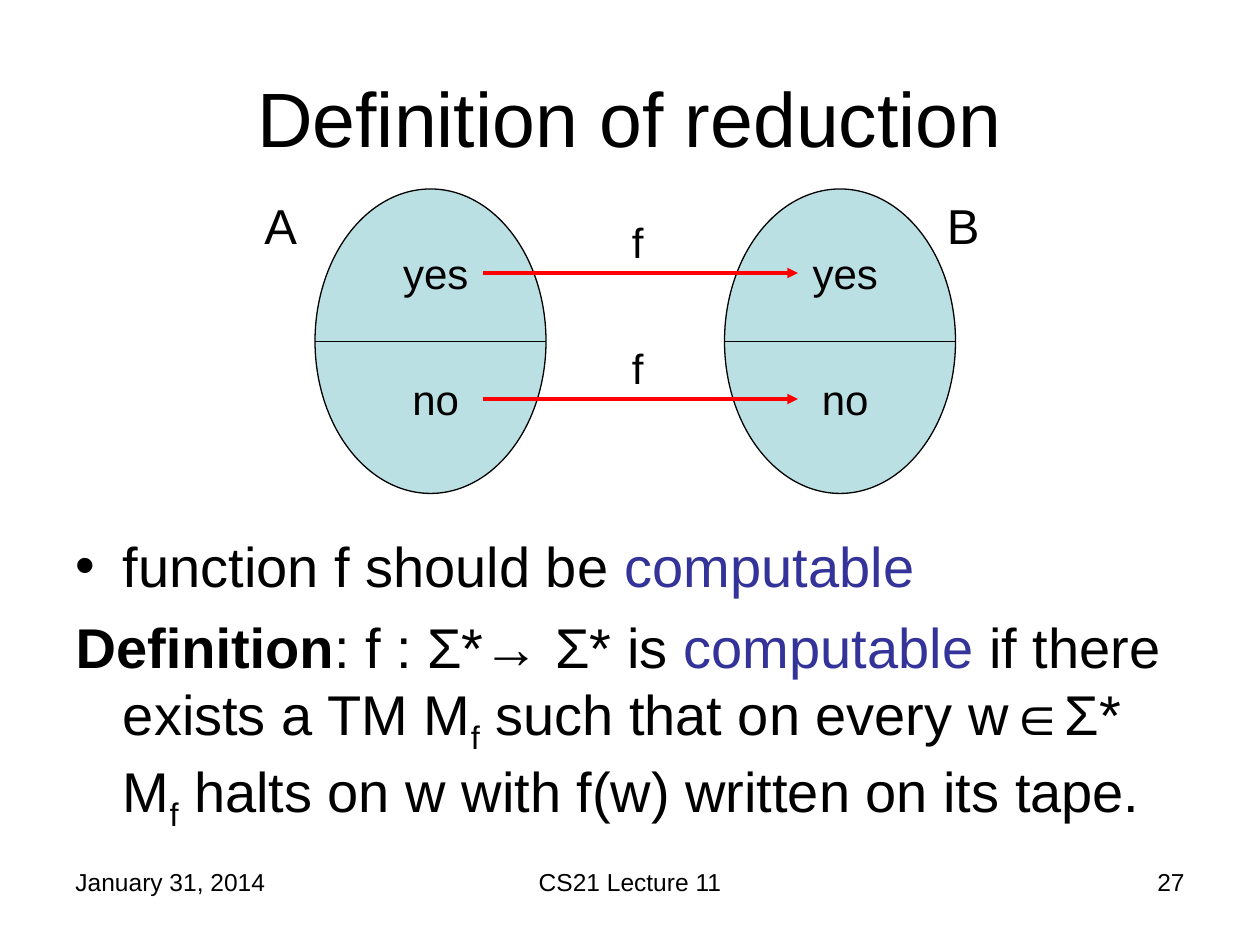
from lxml.etree import SubElement
from pptx import Presentation
from pptx.dml.color import RGBColor
from pptx.enum.shapes import MSO_CONNECTOR, MSO_SHAPE
from pptx.enum.text import MSO_ANCHOR, MSO_AUTO_SIZE, PP_ALIGN
from pptx.oxml.ns import qn
from pptx.util import Emu, Pt

BLACK, RED, BLUE, TEAL = "000000", "FF0000", "333399", "BBE0E3"


def px(length):
    """Turn pixels, 120 to the inch, into EMU."""
    return Emu(length * 7620)


def color(code):
    """Turn a hex string into a colour."""
    return RGBColor.from_string(code)


def style(paragraph, size, align=PP_ALIGN.LEFT):
    """Set the font and alignment of a whole paragraph."""
    paragraph.alignment = align
    paragraph.font.name = "Arial"
    paragraph.font.size = Pt(size)
    paragraph.font.color.rgb = color(BLACK)


def place(placeholder, box):
    """Move a placeholder into a box and keep its text size fixed."""
    placeholder.left, placeholder.top, placeholder.width, placeholder.height = map(px, box)
    placeholder.text_frame.auto_size = MSO_AUTO_SIZE.NONE


def add_label(slide, box, text, size, align=PP_ALIGN.LEFT):
    """Add one line of text in a box."""
    frame = slide.shapes.add_textbox(*map(px, box)).text_frame
    frame.word_wrap = True
    frame.text = text
    style(frame.paragraphs[0], size, align)


def add_line(slide, left, right, y, code, width, arrow=False):
    """Add a level line, with an arrowhead on its right end if asked."""
    line = slide.shapes.add_connector(MSO_CONNECTOR.STRAIGHT, px(left), px(y), px(right), px(y))
    line.line.color.rgb = color(code)
    line.line.width = Pt(width)
    if arrow:
        SubElement(line.line._get_or_add_ln(), qn("a:tailEnd"), type="triangle")
    SubElement(line._element.spPr, qn("a:effectLst"))


def add_language(slide, box):
    """Add an ellipse split into a yes half and a no half."""
    left, top, width, height = box
    ellipse = slide.shapes.add_shape(MSO_SHAPE.OVAL, *map(px, box))
    ellipse.shadow.inherit = False
    ellipse.fill.solid()
    ellipse.fill.fore_color.rgb = color(TEAL)
    ellipse.line.color.rgb = color(BLACK)
    ellipse.line.width = Pt(0.75)
    add_line(slide, left, left + width, top + height // 2, BLACK, 0.75)
    for row, answer in enumerate(("yes", "no")):
        add_label(slide, (left + 70, top + 50 + row * 120, 90, 60), answer, 24, PP_ALIGN.CENTER)


def add_reduction(slide, box):
    """Add languages A and B and the arrows of f between them."""
    left, top, width, height = box
    for offset in (60, 450):
        add_language(slide, (left + offset, top, 220, height))
    for row in range(2):
        y = top + 80 + row * 120
        add_line(slide, left + 220, left + 520, y, RED, 2, arrow=True)
        add_label(slide, (left + 350, y - 60, 70, 60), "f", 24)
    for name, x in (("A", left), ("B", left + width - 70)):
        add_label(slide, (x, top, 70, 68), name, 28)


def add_title(slide, box, text):
    """Fill the title placeholder."""
    title = slide.shapes.title
    place(title, box)
    title.text_frame.text = text
    title.text_frame.vertical_anchor = MSO_ANCHOR.MIDDLE
    style(title.text_frame.paragraphs[0], 44, PP_ALIGN.CENTER)


def add_paragraph(paragraph, pieces, bullet):
    """Fill a hanging paragraph with (text, role) pieces."""
    properties = paragraph._p.get_or_add_pPr()
    properties.set("marL", str(px(45)))
    properties.set("indent", str(px(-45)))
    if bullet:
        SubElement(properties, qn("a:buChar"), char=bullet)
    else:
        SubElement(properties, qn("a:buNone"))
    style(paragraph, 32)
    for text, role in pieces:
        run = paragraph.add_run()
        run.text = text
        if role == "term":
            run.font.color.rgb = color(BLUE)
        elif role == "bold":
            run.font.bold = True
        elif role == "sub":
            run._r.get_or_add_rPr().set("baseline", "-25000")


def add_body(slide, box):
    """Fill the body placeholder with the requirement and the definition."""
    body = slide.placeholders[1]
    place(body, box)
    requirement = body.text_frame.paragraphs[0]
    add_paragraph(requirement, [("function f should be ", ""), ("computable", "term")], "•")
    requirement.space_before = Pt(0)
    definition = body.text_frame.add_paragraph()
    add_paragraph(definition, [
        ("Definition", "bold"),
        (": f : Σ*→ Σ* is ", ""),
        ("computable", "term"),
        (" if there exists a TM M", ""),
        ("f", "sub"),
        (" such that on every w∈Σ* M", ""),
        ("f", "sub"),
        (" halts on w with f(w) written on its tape.", ""),
    ], None)
    definition.space_before = Pt(8)


def add_footer(slide, box):
    """Add the date, the lecture and the page number."""
    left, top, width, height = box
    add_label(slide, (left, top, 280, height), "January 31, 2014", 14)
    add_label(slide, (left + 350, top, 380, height), "CS21 Lecture 11", 14, PP_ALIGN.CENTER)
    add_label(slide, (left + width - 280, top, 280, height), "27", 14, PP_ALIGN.RIGHT)


def main():
    """Build the slide and save it."""
    deck = Presentation()
    deck.slide_width, deck.slide_height = px(1200), px(900)
    slide = deck.slides.add_slide(deck.slide_layouts[1])
    add_footer(slide, (60, 820, 1080, 62))
    add_title(slide, (60, 36, 1080, 150), "Definition of reduction")
    add_body(slide, (60, 500, 1080, 304))
    add_reduction(slide, (240, 180, 720, 290))
    deck.save("out.pptx")


if __name__ == "__main__":
    main()
